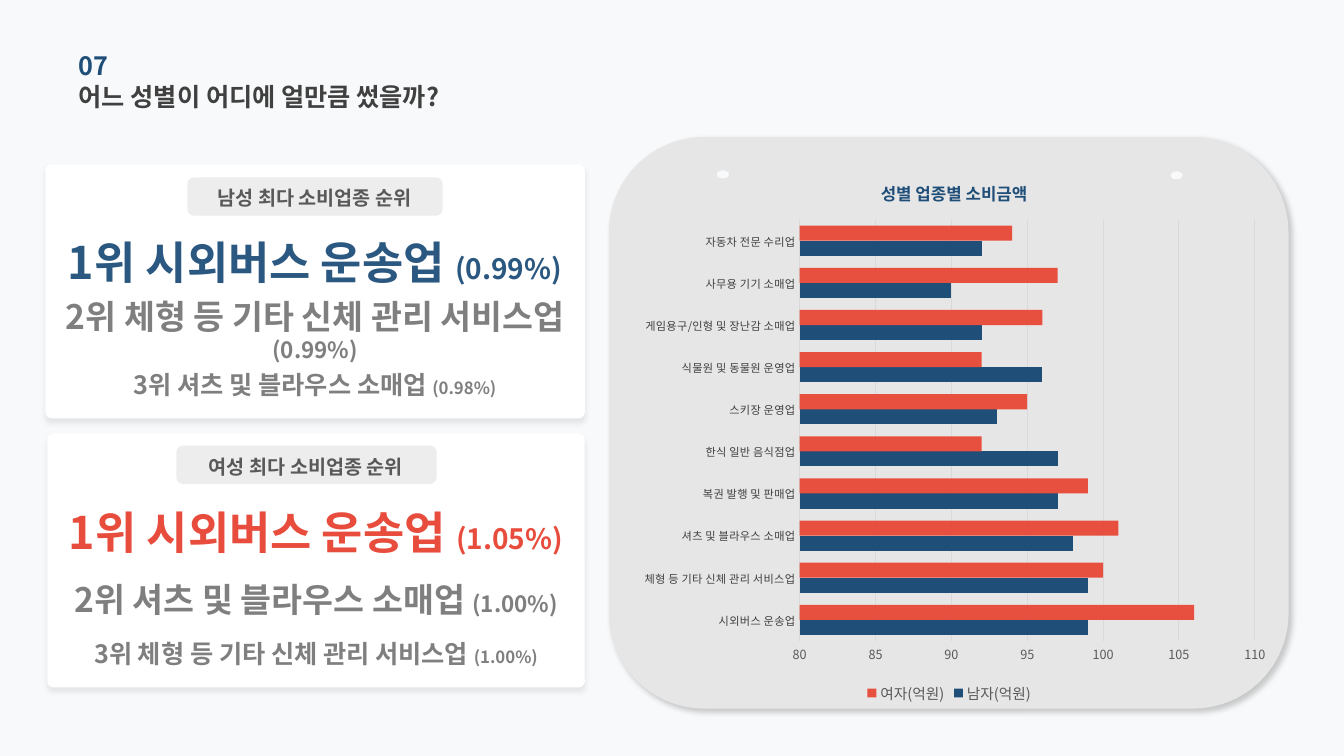
from lxml import etree
from pptx import Presentation
from pptx.chart.data import CategoryChartData as ChartData
from pptx.dml.color import RGBColor
from pptx.enum.chart import XL_CHART_TYPE as Chart, XL_LEGEND_POSITION as Legend, XL_TICK_MARK as Tick
from pptx.enum.shapes import MSO_SHAPE as Shape
from pptx.enum.text import MSO_ANCHOR as Anchor, PP_ALIGN as Align
from pptx.oxml import parse_xml
from pptx.oxml.ns import nsdecls, qn
from pptx.util import Inches, Pt

FONT = "Noto Sans CJK KR"
HUES = {
    "back": "F8F9FA", "panel": "E7E6E6", "card": "FFFFFF", "chip": "D0CECE",
    "navy": "1F4E79", "male": "2B5880", "red": "E74C3C", "head": "404040",
    "label": "595959", "rank": "7F7F7F", "grid": "D9D9D9",
}
# top offset in the card, height, text size, share size
RANKS = [(0.73, 0.48, 32, 20), (1.22, 0.84, 24, 16), (1.76, 0.84, 18, 12)]
SALES = [
    ("시외버스 운송업", 99, 106),
    ("체형 등 기타 신체 관리 서비스업", 99, 100),
    ("셔츠 및 블라우스 소매업", 98, 101),
    ("복권 발행 및 판매업", 97, 99),
    ("한식 일반 음식점업", 97, 92),
    ("스키장 운영업", 93, 95),
    ("식물원 및 동물원 운영업", 96, 92),
    ("게임용구/인형 및 장난감 소매업", 92, 96),
    ("사무용 기기 소매업", 90, 97),
    ("자동차 전문 수리업", 92, 94),
]


def hue(name):
    return RGBColor.from_string(HUES[name])


def style(font, size, color, bold=False):
    font.name, font.size, font.bold = FONT, Pt(size), bold
    font.color.rgb = hue(color)


def fade(root, share):
    """Make the first plain colour under root partly transparent."""
    tone = next(root.iter(qn("a:srgbClr")))
    etree.SubElement(tone, qn("a:alpha"), val=str(share * 1000))


def set_asian(root):
    """Use each Latin font for Korean text too."""
    for latin in list(root.iter(qn("a:latin"))):
        east = etree.Element(qn("a:ea"), typeface=latin.get("typeface"))
        latin.addnext(east)


def add_block(host, kind, box, color, radius=None):
    block = host.add_shape(kind, *map(Inches, box))
    block.shadow.inherit = False
    block.fill.solid()
    block.fill.fore_color.rgb = hue(color)
    block.line.fill.background()
    if radius is not None:
        block.adjustments[0] = radius
    return block


def cast(block, share, angle):
    """Give the block a soft outer shadow."""
    list_el = block._element.spPr.find(qn("a:effectLst"))
    list_el.append(parse_xml(
        f'<a:outerShdw {nsdecls("a")} blurRad="{Pt(4)}" dist="{Pt(3)}" '
        f'dir="{angle * 60000}" algn="ctr" rotWithShape="0"><a:srgbClr val="000000">'
        f'<a:alpha val="{share * 1000}"/></a:srgbClr></a:outerShdw>'))


def add_text(host, box, runs, color, align=Align.CENTER, inset=None):
    frame = host.add_textbox(*map(Inches, box)).text_frame
    frame.word_wrap = True
    frame.vertical_anchor = Anchor.MIDDLE
    if inset is not None:
        frame.margin_left = frame.margin_right = Inches(inset)
        frame.margin_top = frame.margin_bottom = Inches(inset)
    para = frame.paragraphs[0]
    para.alignment = align
    for words, size in runs:
        run = para.add_run()
        run.text = words
        style(run.font, size, color, True)


def add_header(slide, x, y, w):
    lines = [("07", "navy"), ("어느 성별이 어디에 얼만큼 썼을까?", "head")]
    for row, (words, color) in enumerate(lines):
        box = (x, y + row * 0.31, w, 0.41)
        add_text(slide.shapes, box, [(words, 18)], color, Align.LEFT, 0)


def add_card(slide, box, title, color, ranks, chip, lead):
    """Draw a ranking card; chip is (left, top, width) in it, lead the first row's width."""
    x, y, w, h = box
    host = slide.shapes.add_group_shape().shapes
    cast(add_block(host, Shape.ROUNDED_RECTANGLE, box, "card", 0.023), 8, 90)
    for place, (words, share) in enumerate(ranks):
        top, high, big, small = RANKS[place]
        wide = w if place else lead
        row = (x + (w - wide) / 2, y + top, wide, high)
        runs = [(f"{place + 1}위 {words} ", big), (f"({share})", small)]
        add_text(host, row, runs, "rank" if place else color)
    left, top, wide = chip
    tag = (x + left, y + top, wide, 0.38)
    fade(add_block(host, Shape.ROUNDED_RECTANGLE, tag, "chip")._element.spPr, 36)
    add_text(host, (x + left + 0.1, y + top, wide - 0.21, 0.41), [(title, 14)], "label")


def set_place(owner, x, y, w=None, h=None):
    """Fix the place of a title or plot area in shares of the chart."""
    for old in owner.findall(qn("c:layout")):
        owner.remove(old)
    layout = etree.Element(qn("c:layout"))
    manual = etree.SubElement(layout, qn("c:manualLayout"))
    if w:
        etree.SubElement(manual, qn("c:layoutTarget"), val="inner")
    for key in ("xMode", "yMode"):
        etree.SubElement(manual, qn(f"c:{key}"), val="edge")
    for key, share in zip("xywh", (x, y, w, h)):
        if share:
            etree.SubElement(manual, qn(f"c:{key}"), val=str(share))
    text = owner.find(qn("c:tx"))
    if text is None:
        owner.insert(0, layout)
    else:
        text.addnext(layout)


def add_sales(slide, box):
    names, men, women = zip(*SALES)
    data = ChartData()
    data.categories = names
    data.add_series("남자(억원)", men)
    data.add_series("여자(억원)", women)
    chart = slide.shapes.add_chart(Chart.BAR_CLUSTERED, *map(Inches, box), data).chart
    chart.font.name, chart.font.size = "Calibri", Pt(10)

    chart.has_title = True
    run = chart.chart_title.text_frame.paragraphs[0].add_run()
    run.text = "성별 업종별 소비금액"
    style(run.font, 12, "navy", True)
    chart.chart_title.include_in_layout = False
    chart.has_legend = True
    chart.legend.position = Legend.BOTTOM
    chart.legend.include_in_layout = False
    style(chart.legend.font, 10.5, "label")

    plot = chart.plots[0]
    plot.gap_width, plot.overlap, plot.vary_by_categories = 80, 0, False
    for series, color in zip(plot.series, ("navy", "red")):
        series.format.fill.solid()
        series.format.fill.fore_color.rgb = hue(color)
    fade(plot.series[1]._element, 98)

    cats, vals = chart.category_axis, chart.value_axis
    for axis, size, color in ((cats, 8, "head"), (vals, 9, "label")):
        axis.major_tick_mark = axis.minor_tick_mark = Tick.NONE
        style(axis.tick_labels.font, size, color)
    vals.minimum_scale, vals.maximum_scale, vals.major_unit = 80, 110, 5
    vals.format.line.fill.background()
    vals.has_major_gridlines = True
    for line in (cats.format.line, vals.major_gridlines.format.line):
        line.color.rgb, line.width = hue("grid"), Pt(0.75)

    root = chart._chartSpace
    set_place(next(root.iter(qn("c:title"))), 0.39, 0.04)
    set_place(next(root.iter(qn("c:plotArea"))), 0.27, 0.12, 0.7, 0.76)
    set_asian(root)


def add_panel(slide, x, y, w, h):
    cast(add_block(slide.shapes, Shape.ROUNDED_RECTANGLE, (x, y, w, h), "panel"), 20, 45)
    for left, top in ((1.07, 0.33), (5.57, 0.34)):
        add_block(slide.shapes, Shape.OVAL, (x + left, y + top, 0.12, 0.08), "back")
    add_sales(slide, (x + 0.15, y + 0.16, 6.45, 5.5))


def main():
    deck = Presentation()
    deck.slide_width, deck.slide_height = Inches(13.33), Inches(7.5)
    slide = deck.slides.add_slide(deck.slide_layouts[6])
    slide.background.fill.solid()
    slide.background.fill.fore_color.rgb = hue("back")
    add_panel(slide, 6.04, 1.36, 6.74, 5.67)
    add_header(slide, 0.78, 0.44, 4.52)
    bus, body, shirt = "시외버스 운송업", "체형 등 기타 신체 관리 서비스업", "셔츠 및 블라우스 소매업"
    add_card(slide, (0.45, 1.63, 5.35, 2.52), "남성 최다 소비업종 순위", "male",
             [(bus, "0.99%"), (body, "0.99%"), (shirt, "0.98%")], (1.41, 0.13, 2.53), 5.35)
    add_card(slide, (0.47, 4.3, 5.33, 2.52), "여성 최다 소비업종 순위", "red",
             [(bus, "1.05%"), (shirt, "1.00%"), (body, "1.00%")], (1.28, 0.12, 2.58), 6.11)
    set_asian(slide._element)
    deck.save("out.pptx")


if __name__ == "__main__":
    main()
